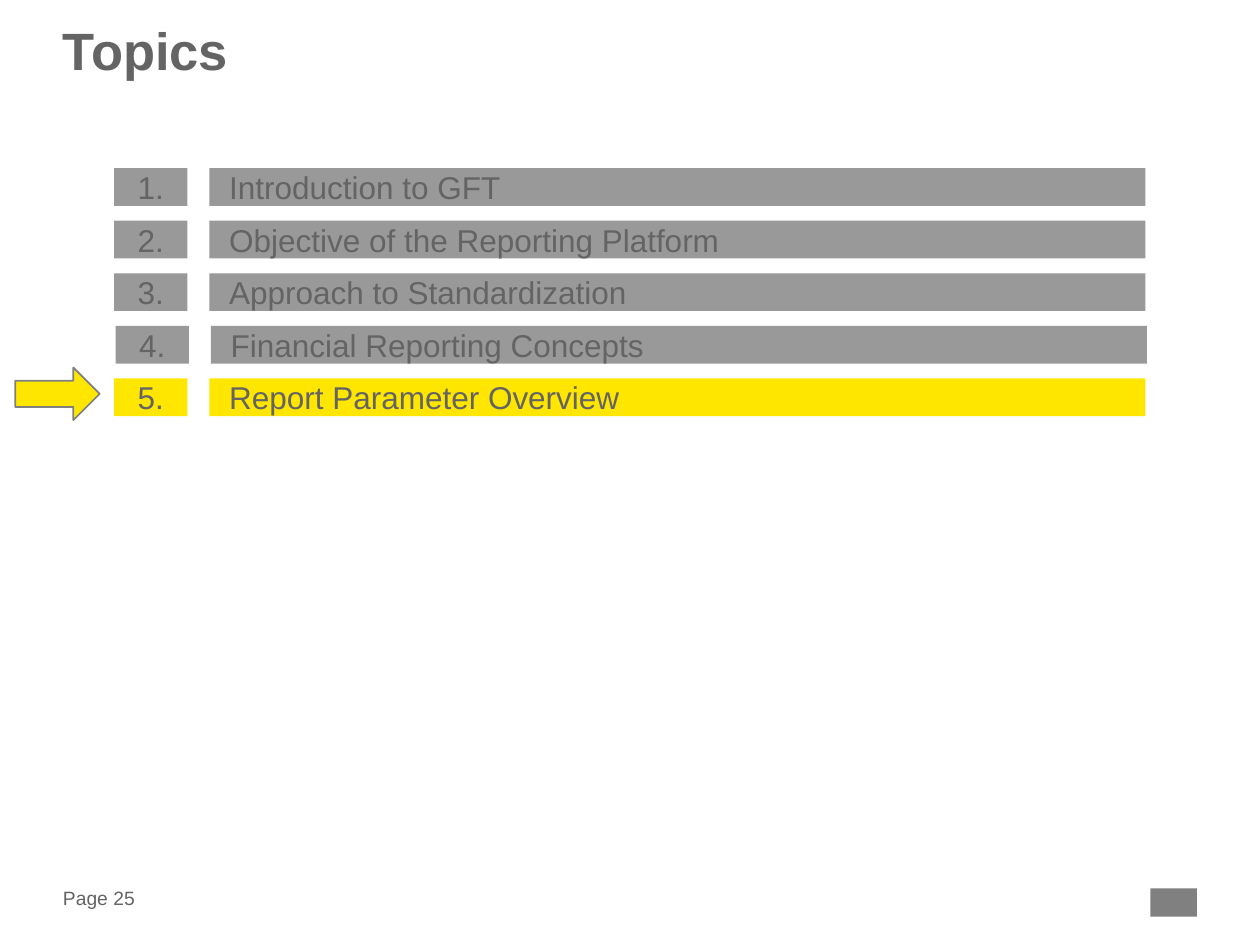
from dataclasses import dataclass

from pptx import Presentation
from pptx import util as u
from pptx.dml.color import RGBColor
from pptx.enum import shapes, text


@dataclass(frozen=True)
class Theme:
    font: str = "Arial"
    ink: str = "646464"
    bar: str = "999999"
    mark: str = "FFE600"
    edge: str = "808080"
    title: int = 30
    body: int = 18
    foot: int = 11


class Deck:
    def __init__(self, slide, theme):
        self.slide = slide
        self.theme = theme

    def fill_text(self, frame, words, size, bold=False, align=text.PP_ALIGN.LEFT,
                  anchor=text.MSO_ANCHOR.MIDDLE, pad=(0, 0)):
        frame.word_wrap = True
        frame.vertical_anchor = anchor
        frame.margin_left = frame.margin_right = u.Cm(pad[0])
        frame.margin_top = frame.margin_bottom = u.Cm(pad[1])
        para = frame.paragraphs[0]
        para.text = words
        para.alignment = align
        para.font.name = self.theme.font
        para.font.size = u.Pt(size)
        para.font.bold = bold
        para.font.color.rgb = RGBColor.from_string(self.theme.ink)
        return para

    def label(self, box, words, size, **style):
        frame = self.slide.shapes.add_textbox(*map(u.Cm, box)).text_frame
        return self.fill_text(frame, words, size, **style)

    def shape(self, kind, box, fill, edge=None):
        item = self.slide.shapes.add_shape(kind, *map(u.Cm, box))
        item.shadow.inherit = False
        item.fill.solid()
        item.fill.fore_color.rgb = RGBColor.from_string(fill)
        if edge:
            item.line.color.rgb = RGBColor.from_string(edge)
            item.line.width = u.Pt(1)
        else:
            item.line.fill.background()
        return item

    def block(self, box, fill, words, **style):
        item = self.shape(shapes.MSO_SHAPE.RECTANGLE, box, fill)
        self.fill_text(item.text_frame, words, self.theme.body, **style)

    def topic(self, num, words, left, top, fill):
        high = 0.76
        self.block((left, top, 1.48, high), fill, f"{num}.",
                   align=text.PP_ALIGN.CENTER, pad=(0.23, 0.1))
        self.block((left + 1.92, top, 18.87, high), fill, words, pad=(0.4, 0.1))


def main():
    show = Presentation()
    show.slide_width, show.slide_height = u.Cm(25.4), u.Cm(19.05)
    theme = Theme()
    deck = Deck(show.slides.add_slide(show.slide_layouts[6]), theme)

    deck.label((1.27, 17.81, 2, 0.56), "Page 25", theme.foot)
    deck.shape(shapes.MSO_SHAPE.RECTANGLE, (23.19, 17.91, 0.94, 0.57), theme.edge)
    title = deck.label((1.27, 0.56, 22.86, 2.39), "Topics", theme.title,
                       bold=True, anchor=text.MSO_ANCHOR.TOP)
    title.line_spacing = 0.85

    deck.shape(shapes.MSO_SHAPE.RIGHT_ARROW, (0.31, 7.41, 1.7, 1.06),
               theme.mark, theme.edge)
    topics = [
        ("Introduction to GFT", 2.3, theme.bar),
        ("Objective of the Reporting Platform", 2.3, theme.bar),
        ("Approach to Standardization", 2.3, theme.bar),
        ("Financial Reporting Concepts", 2.33, theme.bar),
        ("Report Parameter Overview", 2.3, theme.mark),
    ]
    for row, (words, left, fill) in enumerate(topics):
        deck.topic(row + 1, words, left, 3.39 + 1.06 * row, fill)

    show.save("out.pptx")


if __name__ == "__main__":
    main()
